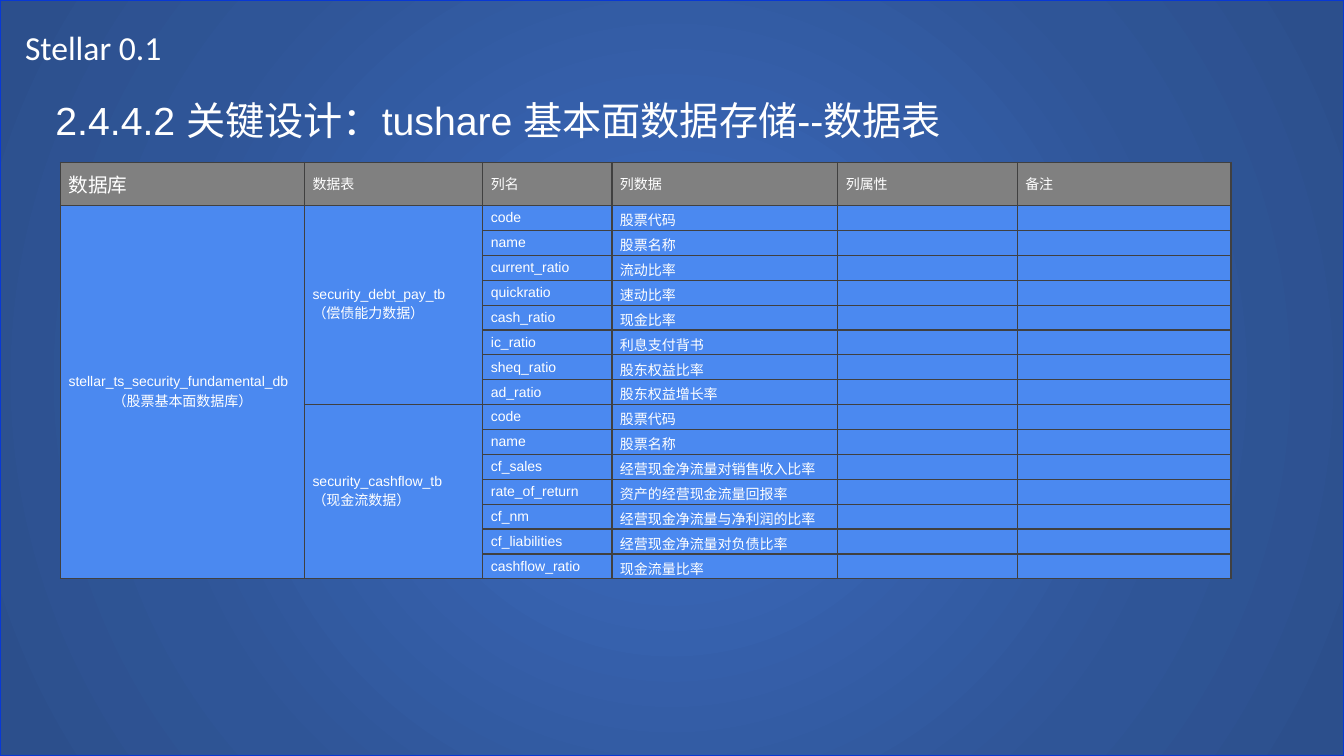
"""Build the slide that lists the tables and columns of the stock fundamentals database."""
import dataclasses
import typing

import pptx
import pptx.dml.color
import pptx.enum.shapes
import pptx.enum.text
import pptx.oxml
import pptx.oxml.ns
import pptx.util

Inches = pptx.util.Inches
Pt = pptx.util.Pt
Align = pptx.enum.text.PP_ALIGN
Anchor = pptx.enum.text.MSO_ANCHOR
NS = pptx.oxml.ns.nsdecls("a")

COLORS = {
    "text": "FFFFFF", "header": "808080", "body": "4B89F0", "grid": "404040",
    "frame": "0838D5", "center": "3864B3", "middle": "2F5597", "edge": "2C4F8C",
}
BACKDROP_STOPS = ((0, "center"), (23, "center"), (69, "middle"), (97, "edge"))


@dataclasses.dataclass(frozen=True)
class DataTable:
    name: str
    label: str
    columns: tuple[tuple[str, str], ...]


HEADINGS = ("数据库", "数据表", "列名", "列数据", "列属性", "备注")
COLUMN_WIDTHS = (2.42, 1.77, 1.28, 2.24, 1.78, 2.12)
HEADER_HEIGHT = 0.43
TABLE_HEIGHT = 4.05
DATABASE = ("stellar_ts_security_fundamental_db", "（股票基本面数据库）")
KEY_COLUMNS = (("code", "股票代码"), ("name", "股票名称"))
DATA_TABLES = (
    DataTable("security_debt_pay_tb", "（偿债能力数据）", KEY_COLUMNS + (
        ("current_ratio", "流动比率"),
        ("quickratio", "速动比率"),
        ("cash_ratio", "现金比率"),
        ("ic_ratio", "利息支付背书"),
        ("sheq_ratio", "股东权益比率"),
        ("ad_ratio", "股东权益增长率"),
    )),
    DataTable("security_cashflow_tb", "（现金流数据）", KEY_COLUMNS + (
        ("cf_sales", "经营现金净流量对销售收入比率"),
        ("rate_of_return", "资产的经营现金流量回报率"),
        ("cf_nm", "经营现金净流量与净利润的比率"),
        ("cf_liabilities", "经营现金净流量对负债比率"),
        ("cashflow_ratio", "现金流量比率"),
    )),
)


def rgb(key: str) -> pptx.dml.color.RGBColor:
    """Return the named colour."""
    return pptx.dml.color.RGBColor.from_string(COLORS[key])


def write(frame: typing.Any, *lines: str, size: float = 10, font: str = "Arial",
          aligns: tuple = (Align.LEFT,)) -> None:
    """Write one paragraph per line, the last alignment serving all further lines."""
    for index, line in enumerate(lines):
        paragraph = frame.paragraphs[0] if index == 0 else frame.add_paragraph()
        paragraph.alignment = aligns[min(index, len(aligns) - 1)]
        run = paragraph.add_run()
        run.text = line
        run.font.size = Pt(size)
        run.font.name = font
        run.font.color.rgb = rgb("text")


def place(box: typing.Any, left: float, top: float, width: float, height: float) -> None:
    """Move and size a shape, in inches."""
    box.left, box.top = Inches(left), Inches(top)
    box.width, box.height = Inches(width), Inches(height)


def add_backdrop(slide: typing.Any, width: int, height: int) -> None:
    """Put a framed radial gradient behind everything on the slide."""
    backdrop = slide.shapes.add_shape(
        pptx.enum.shapes.MSO_SHAPE.RECTANGLE, 0, 0, width, height)
    backdrop.shadow.inherit = False
    backdrop.line.color.rgb = rgb("frame")
    backdrop.line.width = Pt(1)
    backdrop.fill.background()
    stops = "".join(
        f'<a:gs pos="{position * 1000}"><a:srgbClr val="{COLORS[key]}"/></a:gs>'
        for position, key in BACKDROP_STOPS)
    gradient = pptx.oxml.parse_xml(
        f'<a:gradFill {NS} rotWithShape="1"><a:gsLst>{stops}</a:gsLst><a:path path="circle">'
        '<a:fillToRect l="50000" t="50000" r="50000" b="50000"/></a:path></a:gradFill>')
    properties = backdrop.element.spPr
    properties.replace(properties.find(pptx.oxml.ns.qn("a:noFill")), gradient)
    slide.shapes.title.element.addprevious(backdrop.element)


def style_cell(cell: typing.Any, fill: str) -> None:
    """Give a cell its fill, margins, borders and small empty line."""
    cell.fill.solid()
    cell.fill.fore_color.rgb = rgb(fill)
    cell.vertical_anchor = Anchor.MIDDLE
    cell.margin_left = cell.margin_right = Inches(0.08)
    cell.margin_top = cell.margin_bottom = Inches(0.04)
    for index, side in enumerate(("lnL", "lnR", "lnT", "lnB")):
        cell._tc.tcPr.insert(index, pptx.oxml.parse_xml(
            f'<a:{side} {NS} w="{Pt(1)}"><a:solidFill>'
            f'<a:srgbClr val="{COLORS["grid"]}"/></a:solidFill></a:{side}>'))
    if not cell.text_frame.text:
        cell.text_frame.paragraphs[0]._p.append(
            pptx.oxml.parse_xml(f'<a:endParaRPr {NS} sz="1000"/>'))


def add_schema(slide: typing.Any) -> None:
    """Add the table of database, data tables and columns."""
    row_count = 1 + sum(len(data.columns) for data in DATA_TABLES)
    schema = slide.shapes.add_table(
        row_count, len(HEADINGS), Inches(0.6), Inches(1.61),
        Inches(sum(COLUMN_WIDTHS)), Inches(TABLE_HEIGHT)).table
    schema.first_row = schema.horz_banding = False
    for column, width in zip(schema.columns, COLUMN_WIDTHS):
        column.width = Inches(width)
    for index, row in enumerate(schema.rows):
        row.height = Inches((TABLE_HEIGHT - HEADER_HEIGHT) / (row_count - 1)
                            if index else HEADER_HEIGHT)

    for index, heading in enumerate(HEADINGS):
        write(schema.cell(0, index).text_frame, heading, size=10 if index else 14)
    write(schema.cell(1, 0).text_frame, *DATABASE, aligns=(Align.LEFT, Align.CENTER))
    schema.cell(1, 0).merge(schema.cell(row_count - 1, 0))
    first = 1
    for data in DATA_TABLES:
        write(schema.cell(first, 1).text_frame, data.name, data.label)
        schema.cell(first, 1).merge(schema.cell(first + len(data.columns) - 1, 1))
        for row, (name, meaning) in enumerate(data.columns, first):
            write(schema.cell(row, 2).text_frame, name)
            write(schema.cell(row, 3).text_frame, meaning)
        first += len(data.columns)

    for index, row in enumerate(schema.rows):
        for cell in row.cells:
            style_cell(cell, "body" if index else "header")


def main() -> None:
    """Build and save the slide."""
    deck = pptx.Presentation()
    deck.slide_width, deck.slide_height = Inches(13.33), Inches(7.5)
    slide = deck.slides.add_slide(deck.slide_layouts[5])
    add_backdrop(slide, deck.slide_width, deck.slide_height)

    product = slide.shapes.add_textbox(0, 0, 0, 0)
    place(product, 0.15, 0.22, 5.04, 0.5)
    product.text_frame.word_wrap = True
    write(product.text_frame, "Stellar 0.1", size=24, font="Calibri")

    title = slide.shapes.title
    place(title, 0.45, 0.9, 11.77, 0.57)
    title.text_frame.auto_size = pptx.enum.text.MSO_AUTO_SIZE.NONE
    title.text_frame.vertical_anchor = Anchor.MIDDLE
    write(title.text_frame, "2.4.4.2 关键设计：tushare 基本面数据存储--数据表", size=28)

    add_schema(slide)
    deck.save("out.pptx")


if __name__ == "__main__":
    main()
